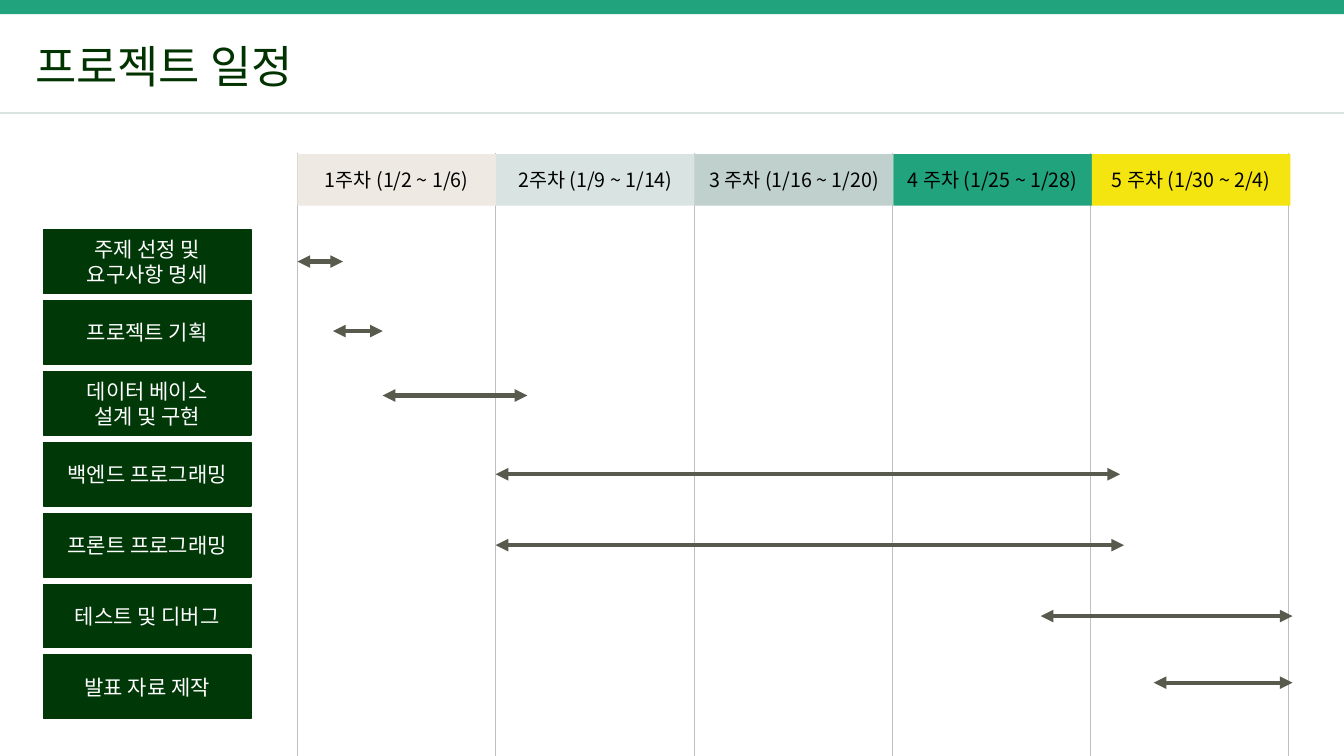
from lxml import etree
from pptx import Presentation
from pptx.dml.color import RGBColor
from pptx.enum.shapes import MSO_CONNECTOR, MSO_SHAPE
from pptx.enum.text import MSO_ANCHOR, MSO_AUTO_SIZE, PP_ALIGN
from pptx.oxml.ns import qn
from pptx.util import Inches, Pt

RECTANGLE = MSO_SHAPE.RECTANGLE
STRAIGHT = MSO_CONNECTOR.STRAIGHT
TOP, MIDDLE = MSO_ANCHOR.TOP, MSO_ANCHOR.MIDDLE
LEFT, CENTER = PP_ALIGN.LEFT, PP_ALIGN.CENTER
FIT_SHAPE = MSO_AUTO_SIZE.SHAPE_TO_FIT_TEXT

FONT = "Noto Sans CJK KR"
WIDTH, HEIGHT = 13.33, 7.5
GREEN, DARK_GREEN, PALE_GREEN = "21A37D", "003808", "D9E3E1"

GRID_LEFT, GRID_TOP = 2.95, 1.52
COLUMN = 9.83 / 5
HEADER_WIDTH, HEADER_HEIGHT = 1.97, 0.51
TASK_LEFT, TASK_TOP = 0.43, 2.28
TASK_WIDTH, TASK_HEIGHT = 2.06, 0.63
ROW = 4.22 / 6

WEEKS = [
    ("1주차 (1/2 ~ 1/6)", "EEE9E2"),
    ("2주차 (1/9 ~ 1/14)", PALE_GREEN),
    ("3 주차 (1/16 ~ 1/20)", "BFD0CD"),
    ("4 주차 (1/25 ~ 1/28)", GREEN),
    ("5 주차 (1/30 ~ 2/4)", "F4E410"),
]

# Task, start and end in weeks, shift of the arrow from the row's middle in rows
TASKS = [
    ("주제 선정 및\n요구사항 명세", 0, 0.23, 0),
    ("프로젝트 기획", 0.18, 0.43, -0.02),
    ("데이터 베이스\n설계 및 구현", 0.43, 1.16, -0.11),
    ("백엔드 프로그래밍", 1, 4.15, 0),
    ("프론트 프로그래밍", 1, 4.17, 0),
    ("테스트 및 디버그", 3.75, 5.02, 0),
    ("발표 자료 제작", 4.32, 5.02, -0.06),
]


def color(value):
    return RGBColor.from_string(value)


def write(shape, text, size, text_color, align=CENTER, anchor=MIDDLE):
    frame = shape.text_frame
    frame.text = text
    frame.vertical_anchor = anchor
    for paragraph in frame.paragraphs:
        paragraph.alignment = align
        font = paragraph.font
        font.size = Pt(size)
        font.color.rgb = color(text_color)
        font.name = FONT
        properties = paragraph._p.pPr.find(qn("a:defRPr"))
        etree.SubElement(properties, qn("a:ea"), typeface=FONT)


def add_title(slide, text):
    title = slide.shapes.title
    title.left, title.top = Inches(0.25), Inches(0.33)
    title.width, title.height = Inches(2.8), Inches(0.64)
    write(title, text, 32, "003300", LEFT, TOP)
    title.text_frame.word_wrap = False
    title.text_frame.auto_size = FIT_SHAPE


def add_box(slide, left, top, width, height, fill, outline=None):
    box = slide.shapes.add_shape(
        RECTANGLE, Inches(left), Inches(top), Inches(width), Inches(height))
    box.shadow.inherit = False
    box.fill.solid()
    box.fill.fore_color.rgb = color(fill)
    if outline:
        box.line.color.rgb = color(outline)
        box.line.width = Pt(1)
    else:
        box.line.fill.background()
    return box


def add_line(slide, start, end, line_color, width):
    line = slide.shapes.add_connector(
        STRAIGHT, *(Inches(value) for value in (*start, *end)))
    line.line.color.rgb = color(line_color)
    line.line.width = Pt(width)
    etree.SubElement(line._element.spPr, qn("a:effectLst"))
    return line


def add_span(slide, start, end, y):
    """Draw a double-headed arrow between two points in weeks."""
    arrow = add_line(slide, (GRID_LEFT + start * COLUMN, y),
                     (GRID_LEFT + end * COLUMN, y), "575A4D", 3)
    outline = arrow.line._get_or_add_ln()
    for tag in ("a:headEnd", "a:tailEnd"):
        etree.SubElement(outline, qn(tag), type="triangle")


def add_task(slide, row, text, start, end, shift):
    top = TASK_TOP + row * ROW
    box = add_box(slide, TASK_LEFT, top, TASK_WIDTH, TASK_HEIGHT,
                  DARK_GREEN, DARK_GREEN)
    write(box, text, 15, "FFFFFF")
    add_span(slide, start, end, top + TASK_HEIGHT / 2 + shift * ROW)


def add_week(slide, column, text, fill):
    box = add_box(slide, GRID_LEFT + column * HEADER_WIDTH, GRID_TOP + 0.01,
                  HEADER_WIDTH, HEADER_HEIGHT, fill)
    write(box, text, 14, "000000")


def main():
    presentation = Presentation()
    presentation.slide_width = Inches(WIDTH)
    presentation.slide_height = Inches(HEIGHT)
    slide = presentation.slides.add_slide(presentation.slide_layouts[5])

    add_box(slide, 0, 0, WIDTH, 0.14, GREEN)
    add_title(slide, "프로젝트 일정")
    add_line(slide, (0, 1.12), (WIDTH, 1.12), PALE_GREEN, 1)

    for column in range(len(WEEKS) + 1):
        x = GRID_LEFT + column * COLUMN
        add_line(slide, (x, GRID_TOP), (x, HEIGHT), "BFBFBF", 0.5)
    for row, task in enumerate(TASKS):
        add_task(slide, row, *task)
    for column, week in enumerate(WEEKS):
        add_week(slide, column, *week)

    presentation.save("out.pptx")


if __name__ == "__main__":
    main()
